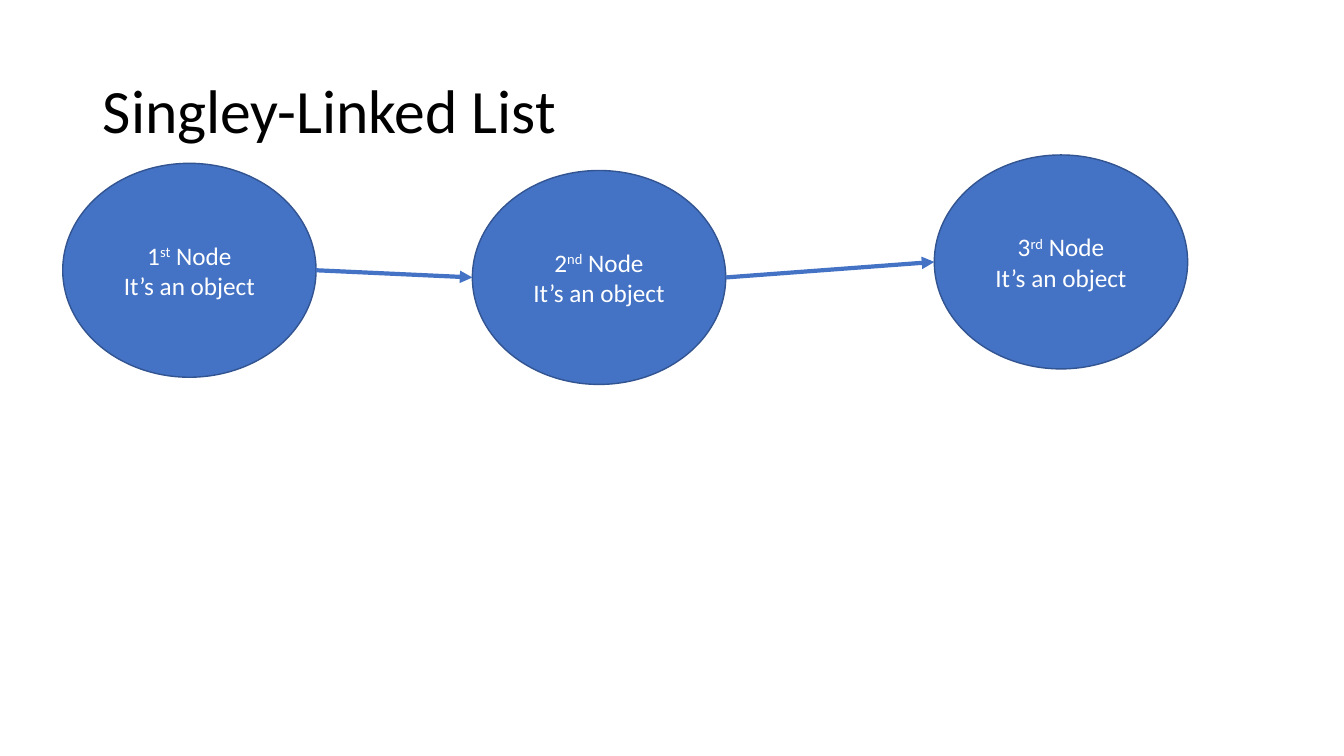
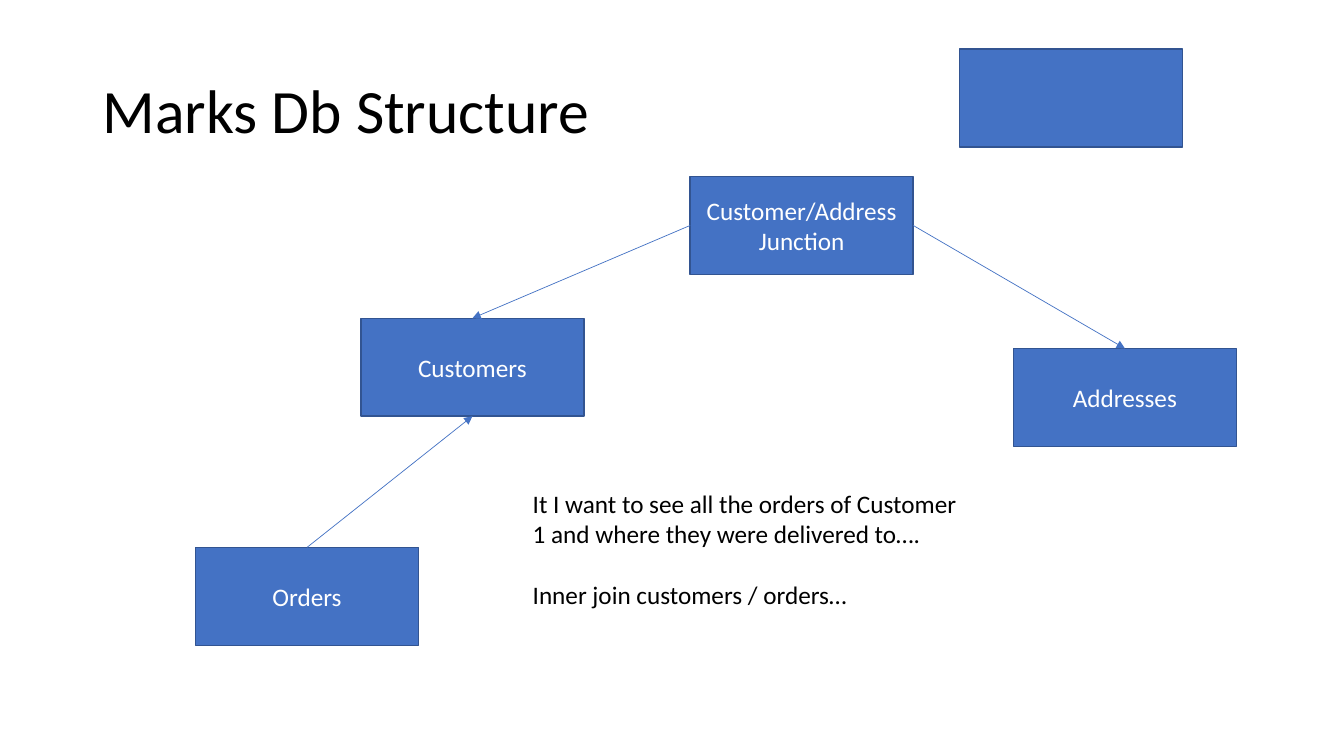
from itertools import pairwise

from lxml import etree
from pptx import Presentation
from pptx import util as u
from pptx.dml.color import RGBColor
from pptx.enum import shapes, text
from pptx.oxml.ns import qn

COLORS = {"fill": "4472C4", "outline": "325491", "light": "FFFFFF", "dark": "000000"}
FONT = "Calibri"
SLIDE_W, SLIDE_H = u.Inches(13.33), u.Inches(7.5)
TITLE_AREA = (6.9, 5.33, 86.25, 19.33)
NODE_SIZE = (18.85, 28.3)
TABLE_SIZE = (16.6, 12.95)
TOP, LEFT, BOTTOM, RIGHT = range(4)

# Places are left and top, in percent of the slide.
NODES = [("1", "st", 4.67, 21.6), ("2", "nd", 35.15, 22.55), ("3", "rd", 69.52, 20.5)]
TABLES = {
    "Customer/Address Junction": (51.35, 23.35),
    "Orders": (14.55, 72.4),
    "Addresses": (75.4, 46.1),
    "Customers": (26.85, 42.1),
    "": (71.4, 6.5),
}
RELATIONS = [
    ("Customer/Address Junction", LEFT, "Customers", TOP),
    ("Customer/Address Junction", RIGHT, "Addresses", TOP),
    ("Orders", TOP, "Customers", BOTTOM),
]
QUESTION = (
    "It I want to see all the orders of Customer 1 and where they were delivered to….",
    "Inner join customers / orders…",
)


def color(name):
    return RGBColor.from_string(COLORS[name])


def area(left, top, width, height):
    """Turn percentages of the slide into lengths."""
    return [round(share * side / 100) for share, side in
            zip((left, top, width, height), (SLIDE_W, SLIDE_H) * 2)]


def format_text(frame, color_name, size=18, align=text.PP_ALIGN.LEFT):
    frame.word_wrap = True
    for paragraph in frame.paragraphs:
        paragraph.alignment = align
        for run in paragraph.runs:
            run.font.name, run.font.size = FONT, u.Pt(size)
            run.font.color.rgb = color(color_name)


def add_titled_slide(deck, heading):
    slide = deck.slides.add_slide(deck.slide_layouts[5])
    title = slide.shapes.title
    title.left, title.top, title.width, title.height = area(*TITLE_AREA)
    frame = title.text_frame
    frame.text = heading
    frame.auto_size = text.MSO_AUTO_SIZE.NONE
    frame.vertical_anchor = text.MSO_ANCHOR.MIDDLE
    frame.paragraphs[0].line_spacing = 0.9
    format_text(frame, "dark", 44)
    return slide


def add_filled(slide, kind, place, size):
    shape = slide.shapes.add_shape(kind, *area(*place, *size))
    shape.shadow.inherit = False
    shape.fill.solid()
    shape.fill.fore_color.rgb = color("fill")
    shape.line.color.rgb = color("outline")
    shape.line.width = u.Pt(1)
    shape.text_frame.vertical_anchor = text.MSO_ANCHOR.MIDDLE
    return shape


def add_node(slide, number, suffix, left, top):
    node = add_filled(slide, shapes.MSO_SHAPE.OVAL, (left, top), NODE_SIZE)
    frame = node.text_frame
    ordinal = frame.paragraphs[0]
    for part in (number, suffix, " Node"):
        ordinal.add_run().text = part
    ordinal.runs[1].font._element.set("baseline", "30000")
    frame.add_paragraph().text = "It’s an object"
    format_text(frame, "light", align=text.PP_ALIGN.CENTER)
    return node


def add_table_box(slide, name, place):
    box = add_filled(slide, shapes.MSO_SHAPE.RECTANGLE, place, TABLE_SIZE)
    if name:
        box.text_frame.text = name
        format_text(box.text_frame, "light", align=text.PP_ALIGN.CENTER)
    return box


def add_arrow(slide, width, start=(0, 0), end=(0, 0)):
    arrow = slide.shapes.add_connector(shapes.MSO_CONNECTOR.STRAIGHT, *start, *end)
    arrow.line.color.rgb = color("fill")
    arrow.line.width = u.Pt(width)
    etree.SubElement(arrow.line._get_or_add_ln(), qn("a:tailEnd"), type="triangle")
    etree.SubElement(arrow._element.spPr, qn("a:effectLst"))
    return arrow


def add_note(slide, paragraphs, place):
    frame = slide.shapes.add_textbox(*area(*place)).text_frame
    frame.text = "\n".join(paragraphs)
    for paragraph in frame.paragraphs[1:]:
        paragraph.space_before = u.Pt(22)
    format_text(frame, "dark")


def build_linked_list(deck):
    slide = add_titled_slide(deck, "Singley-Linked List")
    nodes = [add_node(slide, *node) for node in NODES]
    for node, following in pairwise(nodes):
        add_arrow(slide, 3,
                  (node.left + node.width, node.top + node.height // 2),
                  (following.left, following.top + following.height // 2))


def build_db_structure(deck):
    slide = add_titled_slide(deck, "Marks Db Structure")
    boxes = {name: add_table_box(slide, name, place) for name, place in TABLES.items()}
    for source, source_side, target, target_side in RELATIONS:
        arrow = add_arrow(slide, 0.5)
        arrow.begin_connect(boxes[source], source_side)
        arrow.end_connect(boxes[target], target_side)
    add_note(slide, QUESTION, (38.9, 63.87, 33.5, 36.13))


def main():
    deck = Presentation()
    deck.slide_width, deck.slide_height = SLIDE_W, SLIDE_H
    build_linked_list(deck)
    build_db_structure(deck)
    deck.save("out.pptx")


if __name__ == "__main__":
    main()
